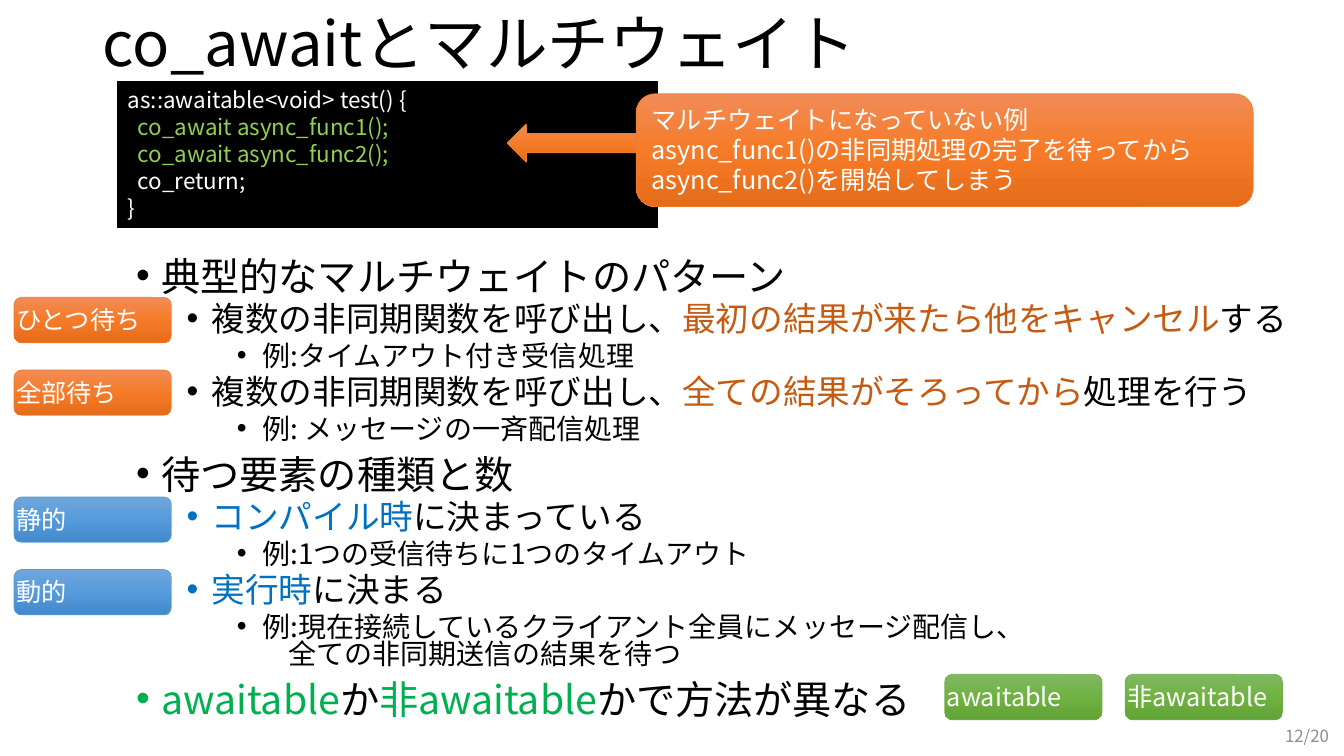
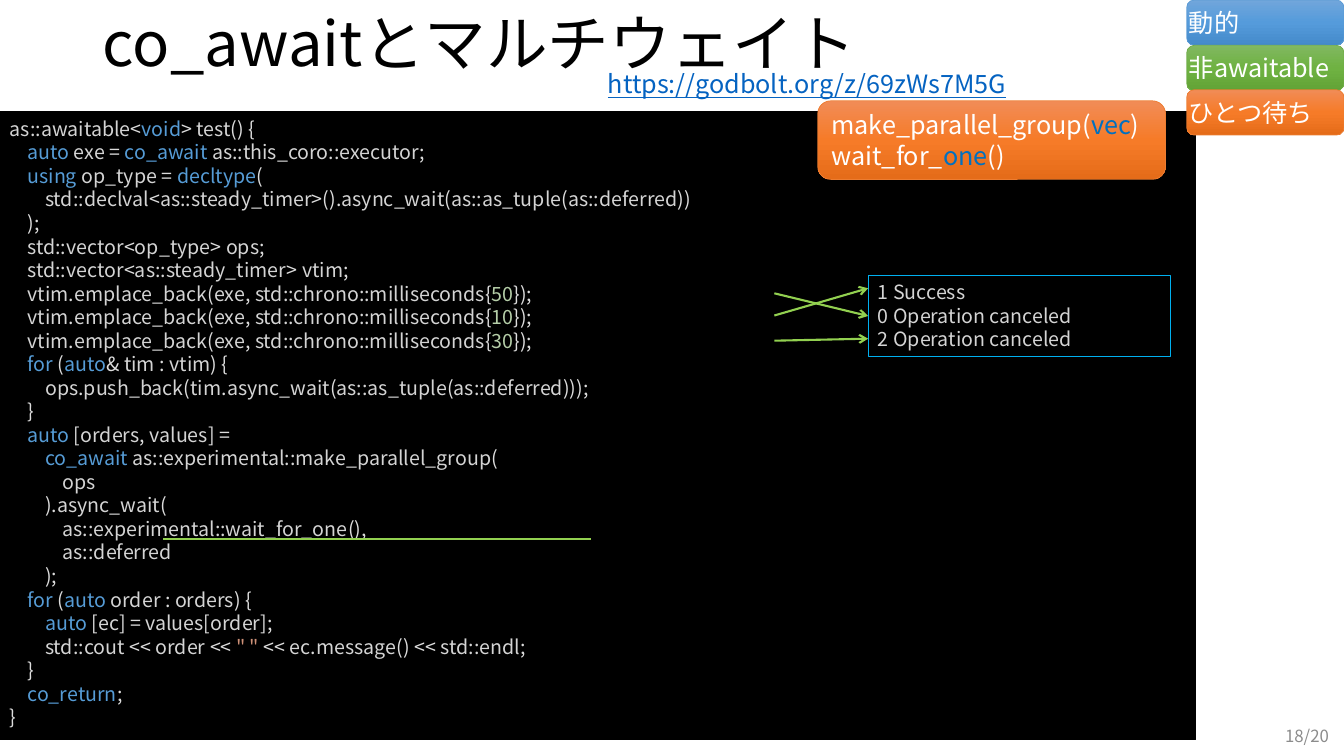
from itertools import groupby

from lxml.etree import SubElement
from pptx import Presentation
from pptx.dml.color import RGBColor
from pptx.enum.shapes import MSO_CONNECTOR, MSO_SHAPE
from pptx.enum.text import MSO_ANCHOR, MSO_AUTO_SIZE, PP_ALIGN
from pptx.oxml.ns import qn
from pptx.util import Inches, Pt

FONT = "Noto Sans CJK JP"
BLACK, WHITE, GRAY = "000000", "FFFFFF", "8C8C8C"
BROWN, BLUE, GREEN, LIME = "C55A11", "0070C0", "00B050", "92D050"
CODE, PUNCTUATION, KEYWORD = "D4D4D4", "DCDCDC", "569CD6"
NUMBER, QUOTE = "B5CEA8", "CE9178"

ORANGE_STYLE = (["F18C57", "F67B28", "E56C19"], "ED7D31", 0.5)
BLUE_STYLE = (["71A6DB", "559BDB", "448ACA"], "5B9BD5", 0.5)
GREEN_STYLE = (["81B861", "6FB242", "62A336"], "70AD47", 0.5)
BLACK_STYLE = ([BLACK], BLACK, 0.75)
OUTPUT_STYLE = ([BLACK], "00B0F0", 0.75)


def write_paragraph(paragraph, pieces, size, color):
    if isinstance(pieces, str):
        pieces = [(pieces, color)]
    paragraph.alignment = PP_ALIGN.LEFT
    paragraph.font.name = FONT
    paragraph.font.size = Pt(size)
    paragraph.font.color.rgb = RGBColor.from_string(color)
    defaults = paragraph._p.pPr.find(qn("a:defRPr"))
    SubElement(defaults, qn("a:ea"), typeface=FONT)
    for text, piece_color in pieces:
        run = paragraph.add_run()
        run.text = text
        if piece_color != color:
            run.font.color.rgb = RGBColor.from_string(piece_color)


def add_box(slide, kind, area, style, lines=(), size=18, color=WHITE, side_inset=0.1):
    fills, line_color, line_width = style
    shape = slide.shapes.add_shape(kind, *map(Inches, area))
    shape.shadow.inherit = False
    if len(fills) == 1:
        shape.fill.solid()
        shape.fill.fore_color.rgb = RGBColor.from_string(fills[0])
    else:
        shape.fill.gradient()
        shape.fill.gradient_angle = 270
        stops = shape._element.spPr.find(".//" + qn("a:gsLst"))
        stops.clear()
        for position, fill in zip((0, 50000, 100000), fills):
            stop = SubElement(stops, qn("a:gs"), pos=str(position))
            SubElement(stop, qn("a:srgbClr"), val=fill)
    shape.line.color.rgb = RGBColor.from_string(line_color)
    shape.line.width = Pt(line_width)
    frame = shape.text_frame
    frame.word_wrap = True
    frame.vertical_anchor = MSO_ANCHOR.TOP
    frame.margin_left = frame.margin_right = Inches(side_inset)
    for index, pieces in enumerate(lines):
        paragraph = frame.add_paragraph() if index else frame.paragraphs[0]
        write_paragraph(paragraph, pieces, size, color)
    return shape


presentation = Presentation()
presentation.slide_width = Inches(13.33)
presentation.slide_height = Inches(7.5)

for layout_index, page in ((1, "12/20"), (5, "18/20")):
    slide = presentation.slides.add_slide(presentation.slide_layouts[layout_index])
    title = slide.shapes.title
    title.left, title.top, title.width, title.height = map(Inches, (0.92, 0, 12.36, 0.92))
    title.text_frame.auto_size = MSO_AUTO_SIZE.NONE
    title.text_frame.vertical_anchor = MSO_ANCHOR.MIDDLE
    paragraph = title.text_frame.paragraphs[0]
    paragraph.line_spacing = 0.9
    write_paragraph(paragraph, "co_awaitとマルチウェイト", 44, BLACK)
    number = slide.shapes.add_textbox(*map(Inches, (10.28, 7.1, 3, 0.4)))
    number.text_frame.word_wrap = True
    number.text_frame.vertical_anchor = MSO_ANCHOR.MIDDLE
    paragraph = number.text_frame.paragraphs[0]
    write_paragraph(paragraph, page, 12, GRAY)
    paragraph.alignment = PP_ALIGN.RIGHT

pattern_slide, code_slide = presentation.slides

body = pattern_slide.placeholders[1]
body.left, body.top, body.width, body.height = map(Inches, (1.25, 2.54, 11.87, 4.77))
body.text_frame.auto_size = MSO_AUTO_SIZE.NONE
CONTINUED = 3
bullets = [
    (0, "典型的なマルチウェイトのパターン"),
    (1, [("複数の非同期関数を呼び出し、", BLACK),
         ("最初の結果が来たら他をキャンセル", BROWN), ("する", BLACK)]),
    (2, "例:タイムアウト付き受信処理"),
    (1, [("複数の非同期関数を呼び出し、", BLACK),
         ("全ての結果がそろってから", BROWN), ("処理を行う", BLACK)]),
    (2, "例: メッセージの一斉配信処理"),
    (0, "待つ要素の種類と数"),
    (1, [("コンパイル時", BLUE), ("に決まっている", BLACK)]),
    (2, "例:1つの受信待ちに1つのタイムアウト"),
    (1, [("実行時", BLUE), ("に決まる", BLACK)]),
    (2, "例:現在接続しているクライアント全員にメッセージ配信し、"),
    (CONTINUED, "全ての非同期送信の結果を待つ"),
    (0, [("awaitable", GREEN), ("か", BLACK),
         ("非awaitable", GREEN), ("かで方法が異なる", BLACK)]),
]
level_formats = [(28, 10, 0.25), (24, 5, 0.75), (20, 5, 1.25), (20, 0, 1.51)]
for index, (level, pieces) in enumerate(bullets):
    paragraph = body.text_frame.add_paragraph() if index else body.text_frame.paragraphs[0]
    size, space_before, margin = level_formats[level]
    paragraph.level = min(level, 2)
    paragraph.line_spacing = 0.8
    paragraph.space_before = Pt(space_before if index else 0)
    properties = paragraph._p.get_or_add_pPr()
    properties.set("marL", str(Inches(margin)))
    if level == CONTINUED:
        properties.set("indent", "0")
        SubElement(properties, qn("a:buNone"))
    else:
        properties.set("indent", str(Inches(-0.25)))
        SubElement(properties, qn("a:buChar"), char="•")
    write_paragraph(paragraph, pieces, size, BLACK)

add_box(pattern_slide, MSO_SHAPE.RECTANGLE, (1.17, 0.81, 5.35, 1.45), BLACK_STYLE, [
    "as::awaitable<void> test() {",
    [("  co_await async_func1();", LIME)],
    [("  co_await async_func2();", LIME)],
    "  co_return;",
    "}",
], 16)
add_box(pattern_slide, MSO_SHAPE.ROUNDED_RECTANGLE, (6.31, 0.93, 6.12, 1.12), ORANGE_STYLE, [
    "マルチウェイトになっていない例",
    "async_func1()の非同期処理の完了を待ってから",
    "async_func2()を開始してしまう",
])
add_box(pattern_slide, MSO_SHAPE.LEFT_ARROW, (5.03, 1.23, 1.28, 0.38), ORANGE_STYLE)

code_lines = [
    "as::awaitable<void> test() {",
    "    auto exe = co_await as::this_coro::executor;",
    "    using op_type = decltype(",
    "        std::declval<as::steady_timer>().async_wait(as::as_tuple(as::deferred))",
    "    );",
    "    std::vector<op_type> ops;",
    "    std::vector<as::steady_timer> vtim;",
    *[f"    vtim.emplace_back(exe, std::chrono::milliseconds{{{delay}}});"
      for delay in (50, 10, 30)],
    "    for (auto& tim : vtim) {",
    "        ops.push_back(tim.async_wait(as::as_tuple(as::deferred)));",
    "    }",
    "    auto [orders, values] =",
    "        co_await as::experimental::make_parallel_group(",
    "            ops",
    "        ).async_wait(",
    "            as::experimental::wait_for_one(),",
    "            as::deferred",
    "        );",
    "    for (auto order : orders) {",
    "        auto [ec] = values[order];",
    '        std::cout << order << " " << ec.message() << std::endl;',
    "    }",
    "    co_return;",
    "}",
]
keywords = {"void", "auto", "co_await", "using", "decltype", "for", "co_return"}
colored_lines = []
for code_line in code_lines:
    pieces = []
    for is_word, characters in groupby(code_line, lambda mark: mark.isalnum() or mark in "_:"):
        token = "".join(characters)
        if token in keywords:
            color = KEYWORD
        elif token.isdigit():
            color = NUMBER
        elif '"' in token:
            before, after = token.split('" "')
            pieces += [(before, PUNCTUATION), ('" "', QUOTE)]
            token, color = after, PUNCTUATION
        else:
            color = CODE if is_word and token != ":" else PUNCTUATION
        pieces.append((token, color))
    colored_lines.append(pieces)
add_box(code_slide, MSO_SHAPE.RECTANGLE, (0, 1.11, 11.86, 6.23), BLACK_STYLE,
        colored_lines, 14, CODE)

address = code_slide.shapes.add_textbox(*map(Inches, (5.93, 0.63, 5.19, 0.4)))
address.text_frame.word_wrap = True
paragraph = address.text_frame.paragraphs[0]
write_paragraph(paragraph, "https://godbolt.org/z/69zWs7M5G", 18, "0563C1")
paragraph.font.underline = True

output = add_box(code_slide, MSO_SHAPE.RECTANGLE, (8.61, 2.73, 3, 0.81), OUTPUT_STYLE, [
    "1 Success", "0 Operation canceled", "2 Operation canceled",
], 14, CODE)

for start_x, start_y, end_x, end_y, has_arrow, joins_output in (
    (1.62, 5.35, 5.86, 5.35, False, False),
    (7.68, 3.13, 8.61, 2.86, True, False),
    (7.68, 3.38, 8.61, 3.36, True, False),
    (7.68, 2.91, 8.61, 3.13, True, True),
):
    connector = code_slide.shapes.add_connector(
        MSO_CONNECTOR.STRAIGHT, *map(Inches, (start_x, start_y, end_x, end_y)))
    connector.line.color.rgb = RGBColor.from_string(LIME)
    connector.line.width = Pt(1.5)
    if has_arrow:
        SubElement(connector.line._get_or_add_ln(), qn("a:tailEnd"), type="arrow")
    SubElement(connector._element.spPr, qn("a:effectLst"))
    if joins_output:
        connector.end_connect(output, 1)

add_box(code_slide, MSO_SHAPE.ROUNDED_RECTANGLE, (8.11, 1, 3.45, 0.78), ORANGE_STYLE, [
    [("make_parallel_group(", WHITE), ("vec", BLUE), (")", WHITE)],
    [("wait_for_", WHITE), ("one", BLUE), ("()", WHITE)],
])

for slide, left, top, style, text in (
    (pattern_slide, 0.14, 2.95, ORANGE_STYLE, "ひとつ待ち"),
    (pattern_slide, 0.14, 3.67, ORANGE_STYLE, "全部待ち"),
    (pattern_slide, 0.14, 4.93, BLUE_STYLE, "静的"),
    (pattern_slide, 0.14, 5.65, BLUE_STYLE, "動的"),
    (pattern_slide, 9.37, 6.69, GREEN_STYLE, "awaitable"),
    (pattern_slide, 11.16, 6.69, GREEN_STYLE, "非awaitable"),
    (code_slide, 11.77, 0, BLUE_STYLE, "動的"),
    (code_slide, 11.77, 0.45, GREEN_STYLE, "非awaitable"),
    (code_slide, 11.77, 0.89, ORANGE_STYLE, "ひとつ待ち"),
):
    add_box(slide, MSO_SHAPE.ROUNDED_RECTANGLE, (left, top, 1.56, 0.45), style,
            [text], side_inset=0)

presentation.save("out.pptx")
